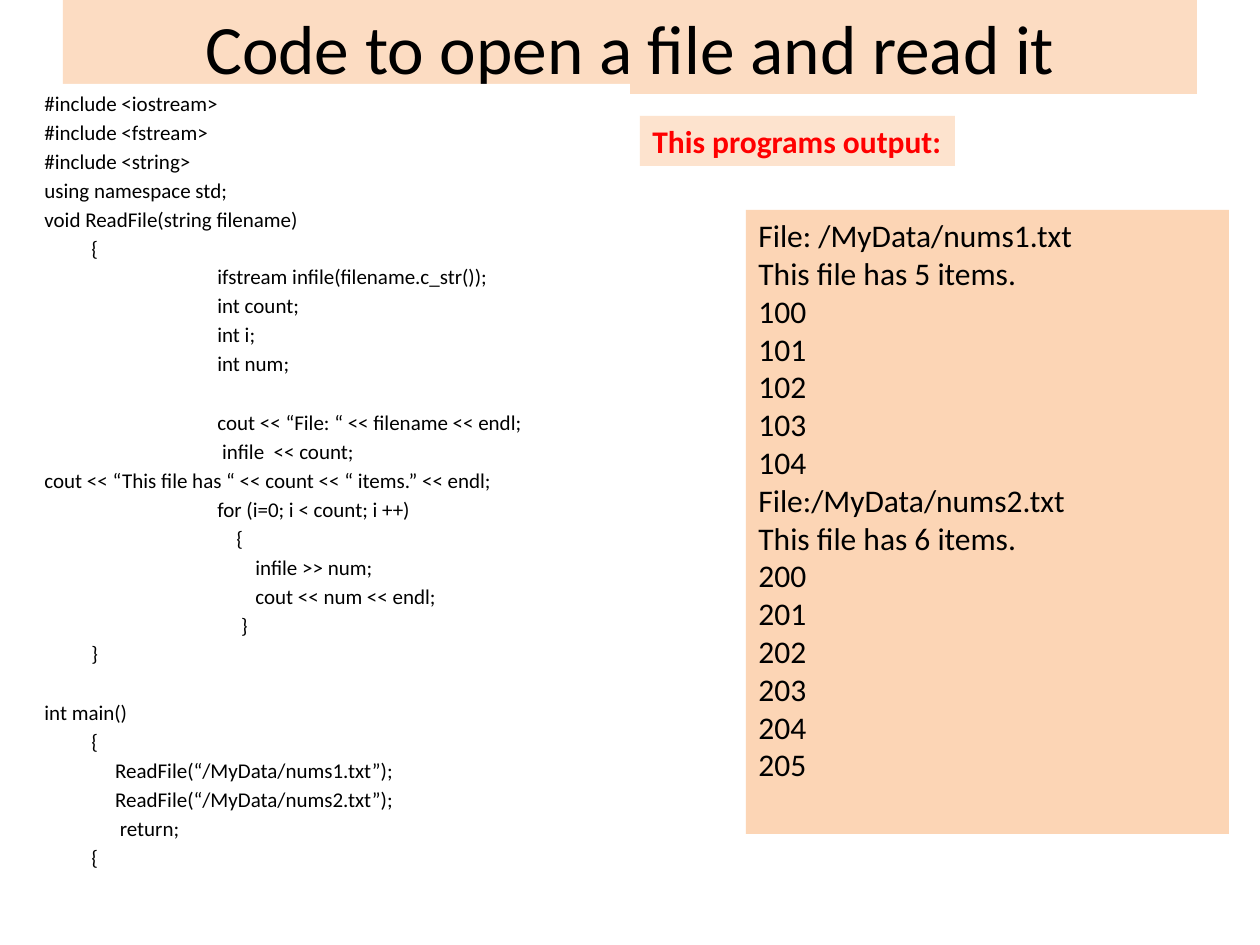
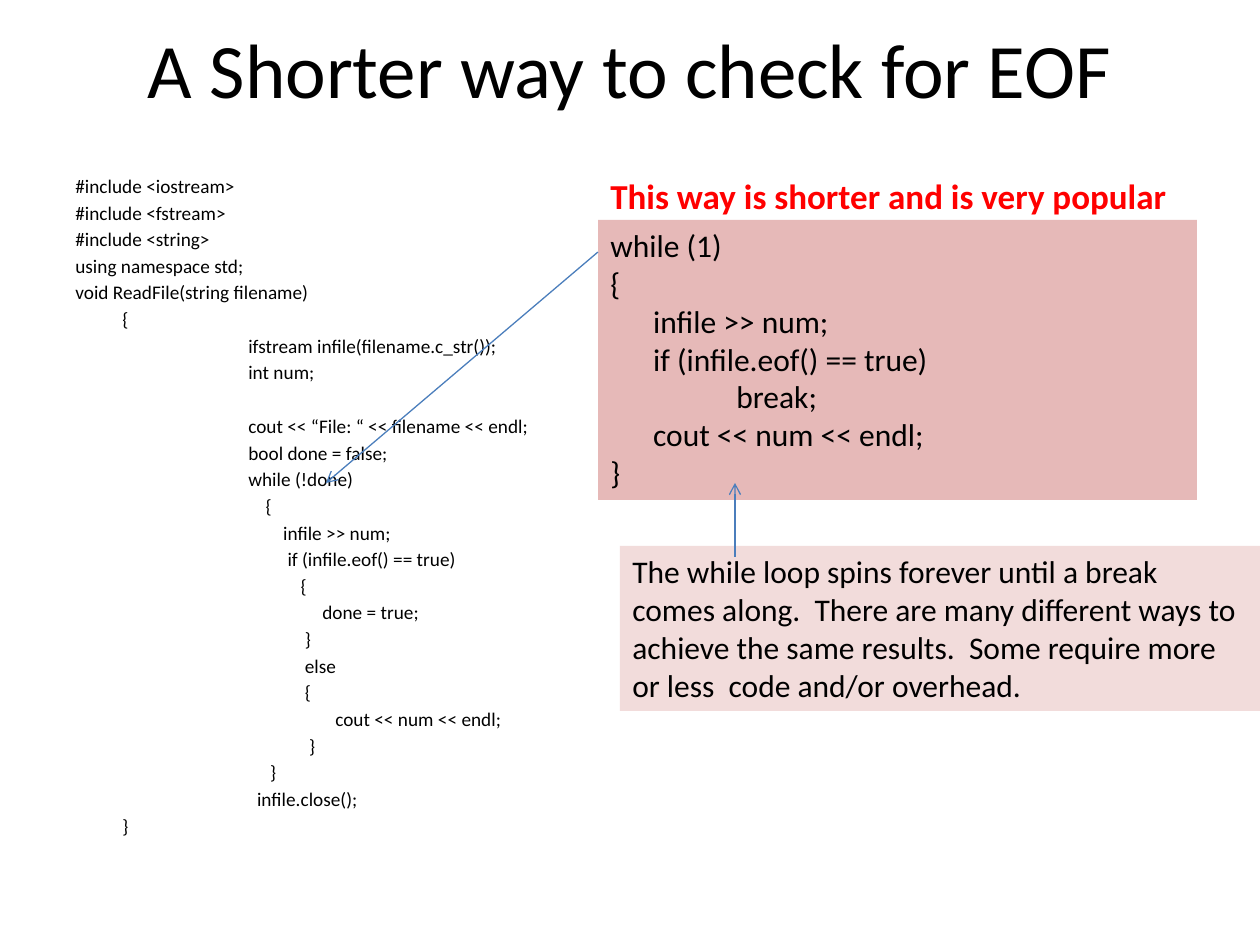
from lxml import etree
from pptx import Presentation, util as u
from pptx.dml.color import RGBColor
from pptx.enum import shapes, text
from pptx.oxml.ns import qn

FONT = "Calibri"
BLACK, RED, WHITE = "000000", "FF0000", "FFFFFF"
PEACH, ROSE, PALE_ROSE, ARROW_BLUE = "FCD5B5", "E6B9B8", "F2DCDB", "4B7EBC"
PX_PER_INCH = 126
LINE_HEIGHT = 1.22
SPACE_WIDTH = 0.226
BRACE, BODY, TAB = 47, 173, 126
GAP = None

preamble = [
    "#include <iostream>",
    "#include <fstream>",
    "#include <string>",
    "using namespace std;",
    "void ReadFile(string filename)",
    (BRACE, 0, "{"),
    (BODY, 0, "ifstream infile(filename.c_str());"),
]
print_name = (BODY, 0, "cout << “File: “ << filename << endl;")

counted_code = preamble + [
    (BODY, 0, "int count;"),
    (BODY, 0, "int i;"),
    (BODY, 0, "int num;"),
    GAP,
    print_name,
    (BODY, 1, "infile  << count;"),
    "cout << “This file has “ << count << “ items.” << endl;",
    (BODY, 0, "for (i=0; i < count; i ++)"),
    (BODY, 4, "{"),
    (BODY, 8, "infile >> num;"),
    (BODY, 8, "cout << num << endl;"),
    (BODY, 5, "}"),
    (BRACE, 0, "}"),
    GAP,
    "int main()",
    (BRACE, 0, "{"),
    (BRACE, 5, "ReadFile(“/MyData/nums1.txt”);"),
    (BRACE, 5, "ReadFile(“/MyData/nums2.txt”);"),
    (BRACE, 6, "return;"),
    (BRACE, 0, "{"),
]

eof_code = preamble + [
    (BODY, 0, "int num;"),
    GAP,
    print_name,
    (BODY, 0, "bool done = false;"),
    (BODY, 0, "while (!done)"),
    (BODY, 4, "{"),
    (BODY, 8, "infile >> num;"),
    (BODY, 9, "if (infile.eof() == true)"),
    (BODY, 12, "{"),
    (BODY, 17, "done = true;"),
    (BODY, 13, "}"),
    (BODY, 13, "else"),
    (BODY, 13, "{"),
    (BODY, 20, "cout << num << endl;"),
    (BODY, 14, "}"),
    (BODY, 5, "}"),
    (BODY, 2, "infile.close();"),
    (BRACE, 0, "}"),
]

program_output = [
    "File: /MyData/nums1.txt",
    "This file has 5 items.",
    *map(str, range(100, 105)),
    "File:/MyData/nums2.txt",
    "This file has 6 items.",
    *map(str, range(200, 206)),
]

short_loop = [
    "while (1)",
    "{",
    (0, 6, "infile >> num;"),
    (0, 6, "if (infile.eof() == true)"),
    (TAB, 0, "break;"),
    (0, 6, "cout << num << endl;"),
    "}",
]

loop_remark = [
    "The while loop spins forever until a break comes along.  There are many "
    "different ways to achieve the same results.  Some require more or less  "
    "code and/or overhead."
]

slides = [
    {
        "title": dict(lines=["Code to open a file and read it"], box=(63, 0, 1134, 94),
                      size=39.6, fill=PEACH, opacity=82),
        "panels": [
            dict(lines=counted_code, box=(32, 84, 598, 861), size=12, fill=WHITE, spacing=2.15),
            dict(lines=["This programs output:"], box=(640, 116, 315, 50), size=18,
                 color=RED, bold=True, fill=PEACH, opacity=65),
            dict(lines=program_output, box=(746, 210, 483, 624), size=18, fill=PEACH),
        ],
        "arrows": [],
    },
    {
        "title": dict(lines=["A Shorter way to check for EOF"], box=(63, 0, 1134, 136), size=44),
        "panels": [
            dict(lines=eof_code, box=(63, 168, 514, 756), size=11, fill=WHITE, spacing=2),
            dict(lines=["This way is shorter and is very popular"], box=(598, 168, 630, 55),
                 size=20, color=RED, bold=True),
            dict(lines=short_loop, box=(598, 220, 599, 280), size=18, fill=ROSE),
            dict(lines=loop_remark, box=(620, 546, 640, 165), size=18, fill=PALE_ROSE),
        ],
        "arrows": [((598, 252), (326, 483)), ((735, 557), (735, 483))],
    },
]


def px(length):
    return u.Emu(round(length * u.Inches(1) / PX_PER_INCH))


def rgb(color):
    return RGBColor.from_string(color)


def add_panel(slide, lines, box, size, color=BLACK, bold=False, fill=None,
              opacity=100, spacing=0, centred=False):
    panel = slide.shapes.add_textbox(*map(px, box))
    if fill:
        panel.fill.solid()
        panel.fill.fore_color.rgb = rgb(fill)
        if opacity < 100:
            tint = panel.fill._xPr.find(".//" + qn("a:srgbClr"))
            etree.SubElement(tint, qn("a:alpha"), val=str(opacity * 1000))
    frame = panel.text_frame
    frame.word_wrap = True
    frame.vertical_anchor = text.MSO_ANCHOR.MIDDLE if centred else text.MSO_ANCHOR.TOP
    before = 0
    paragraph = frame.paragraphs[0]
    for number, line in enumerate(lines):
        if line is GAP:
            before += size * LINE_HEIGHT + spacing
            continue
        stop, spaces, words = (0, 0, line) if isinstance(line, str) else line
        if number:
            paragraph = frame.add_paragraph()
        paragraph.alignment = text.PP_ALIGN.CENTER if centred else text.PP_ALIGN.LEFT
        paragraph.space_before = u.Pt(before)
        indent = px(stop) + u.Pt(spaces * SPACE_WIDTH * size)
        paragraph._p.get_or_add_pPr().set("marL", str(indent))
        run = paragraph.add_run()
        run.text = words
        run.font.name, run.font.size, run.font.bold = FONT, u.Pt(size), bold
        run.font.color.rgb = rgb(color)
        before = spacing


def add_arrow(slide, start, end):
    arrow = slide.shapes.add_connector(
        shapes.MSO_CONNECTOR.STRAIGHT, *map(px, start + end))
    arrow.line.color.rgb = rgb(ARROW_BLUE)
    arrow.line.width = u.Pt(0.75)
    etree.SubElement(arrow.line._get_or_add_ln(), qn("a:tailEnd"), type="arrow")
    etree.SubElement(arrow._element.spPr, qn("a:effectLst"))


deck = Presentation()
deck.slide_width, deck.slide_height = u.Inches(10), u.Inches(7.5)
for content in slides:
    slide = deck.slides.add_slide(deck.slide_layouts[6])
    add_panel(slide, centred=True, **content["title"])
    for panel in content["panels"]:
        add_panel(slide, **panel)
    for start, end in content["arrows"]:
        add_arrow(slide, start, end)
deck.save("out.pptx")
